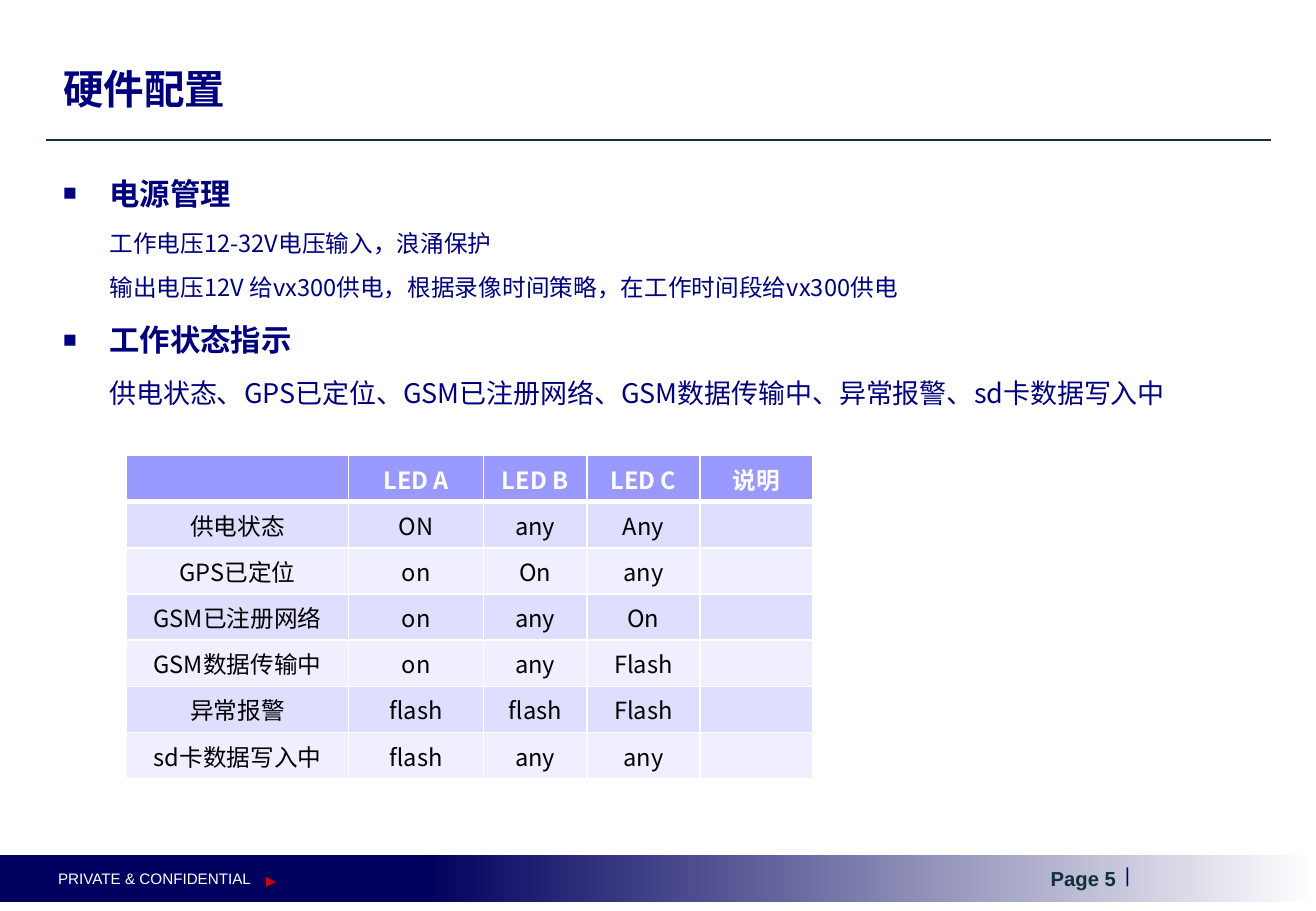
from lxml import etree
from pptx import Presentation
from pptx.dml.color import RGBColor
from pptx.enum.shapes import MSO_CONNECTOR, MSO_SHAPE
from pptx.enum.text import MSO_ANCHOR, MSO_AUTO_SIZE, PP_ALIGN
from pptx.oxml import parse_xml
from pptx.oxml.ns import qn
from pptx.util import Inches, Pt

LEFT, CENTER = PP_ALIGN.LEFT, PP_ALIGN.CENTER
MIDDLE, NO_FIT = MSO_ANCHOR.MIDDLE, MSO_AUTO_SIZE.NONE
STRAIGHT = MSO_CONNECTOR.STRAIGHT
RECTANGLE, PENTAGON = MSO_SHAPE.RECTANGLE, MSO_SHAPE.PENTAGON

COLORS = {
    "navy": "00007D", "band": "00005E", "rule": "113038", "marker": "CC0000",
    "white": "FFFFFF", "black": "000000",
    "header": "9999FF", "odd": "DEDEFF", "even": "EFEFFF",
}
SANS, CJK = "Arial", "Noto Sans CJK SC"
NAMESPACE = 'xmlns:a="http://schemas.openxmlformats.org/drawingml/2006/main"'

TITLE = "硬件配置"
BODY = [  # text, size, is a bulleted heading
    ("电源管理", 18, True),
    ("工作电压12-32V电压输入，浪涌保护", 14, False),
    ("输出电压12V 给vx300供电，根据录像时间策略，在工作时间段给vx300供电", 14, False),
    ("工作状态指示", 18, True),
    ("供电状态、GPS已定位、GSM已注册网络、GSM数据传输中、异常报警、sd卡数据写入中", 16, False),
]
LED_TABLE = [
    ("", "LED A", "LED B", "LED C", "说明"),
    ("供电状态", "ON", "any", "Any", ""),
    ("GPS已定位", "on", "On", "any", ""),
    ("GSM已注册网络", "on", "any", "On", ""),
    ("GSM数据传输中", "on", "any", "Flash", ""),
    ("异常报警", "flash", "flash", "Flash", ""),
    ("sd卡数据写入中", "flash", "any", "any", ""),
]
COLUMN_WIDTHS = (1.83, 1.11, 0.85, 0.93, 0.93)
ROW_HEIGHT = 0.38
CELL_SIZE = 14
FOOTER = [  # text, area, size, color, bold, alignment, wraps, percent before
    ("Page 5", (8.47, 7.08, 0.89, 0.3), 12, "rule", True, CENTER, False, 0),
    ("|", (9.16, 7.05, 0.24, 0.3), 12, "navy", False, LEFT, False, 30),
    ("PRIVATE & CONFIDENTIAL", (0.38, 7.11, 1.81, 0.26), 9, "white", False, LEFT, True, 50),
]


def rgb(name):
    return RGBColor.from_string(COLORS[name])


def inches(*lengths):
    return [Inches(length) for length in lengths]


def place(shape, area):
    shape.left, shape.top, shape.width, shape.height = inches(*area)


def write(para, text, size, color, bold=False, font=SANS, align=LEFT):
    para.alignment = align
    span = para.add_run()
    span.text = text
    formats = {"size": Pt(size), "bold": bold, "name": font}
    for name, value in formats.items():
        setattr(span.font, name, value)
    span.font.color.rgb = rgb(color)
    etree.SubElement(span.font._element, qn("a:ea"), typeface=CJK)


def space(para, before, after=0):
    """Set paragraph spacing as percentages of the text size."""
    properties = para._p.get_or_add_pPr()
    for tag, percent in (("spcBef", before), ("spcAft", after)):
        gap = etree.SubElement(properties, qn(f"a:{tag}"))
        etree.SubElement(gap, qn("a:spcPct"), val=str(percent * 1000))


def set_bullet(para, indent, shown):
    properties = para._p.get_or_add_pPr()
    properties.set("marL", str(Inches(indent)))
    properties.set("indent", str(-Inches(indent) if shown else 0))
    marks = ["<a:buNone {}/>"]
    if shown:
        marks = [
            f'<a:buClr {{}}><a:srgbClr val="{COLORS["navy"]}"/></a:buClr>',
            '<a:buSzPct {} val="75000"/>',
            f'<a:buFont {{}} typeface="{SANS}"/>',
            '<a:buChar {} char="■"/>',
        ]
    for mark in marks:
        properties.append(parse_xml(mark.format(NAMESPACE)))


def set_borders(cell, top, bottom):
    properties = cell._tc.get_or_add_tcPr()
    for side, width in (("L", 1), ("R", 1), ("T", top), ("B", bottom)):
        properties.append(parse_xml(
            f'<a:ln{side} {NAMESPACE} w="{Pt(width)}"><a:solidFill>'
            f'<a:srgbClr val="{COLORS["white"]}"/></a:solidFill></a:ln{side}>'))


def add_plain_shape(page, kind, area):
    shape = page.shapes.add_shape(kind, *inches(*area))
    shape.shadow.inherit = False
    shape.line.fill.background()
    return shape


def add_frame(page, width):
    band = add_plain_shape(page, RECTANGLE, (0, 7.04, width, 0.39))
    band.fill.gradient()
    band.fill.gradient_angle = 0
    for stop, (position, color) in zip(band.fill.gradient_stops, ((0.32, "band"), (1, "white"))):
        stop.position = position
        stop.color.rgb = rgb(color)

    rule = page.shapes.add_connector(STRAIGHT, *inches(0.38, 1.15, 10.46, 1.15))
    rule.line.color.rgb = rgb("rule")
    rule.line.width = Pt(1.25)
    etree.SubElement(rule._element.spPr, qn("a:effectLst"))

    for text, area, size, color, bold, align, wraps, before in FOOTER:
        box = page.shapes.add_textbox(*inches(*area))
        box.text_frame.word_wrap = wraps
        para = box.text_frame.paragraphs[0]
        space(para, before)
        write(para, text, size, color, bold, align=align)

    marker = add_plain_shape(page, PENTAGON, (2.19, 7.22, 0.08, 0.08))
    marker.adjustments[0] = 1
    marker.fill.solid()
    marker.fill.fore_color.rgb = rgb("marker")


def fill_placeholders(page):
    title, body = page.placeholders
    place(title, (0.42, 0.36, 10, 0.73))
    title.text_frame.vertical_anchor = MIDDLE
    write(title.text_frame.paragraphs[0], TITLE, 24, "navy", True)

    place(body, (0.42, 1.33, 10, 5.55))
    frame = body.text_frame
    for shape in (title, body):
        shape.text_frame.auto_size = NO_FIT
    for index, (text, size, heading) in enumerate(BODY):
        para = frame.add_paragraph() if index else frame.paragraphs[0]
        para.line_spacing = 1.2
        space(para, 30, 15)
        set_bullet(para, 0.38, heading)
        write(para, text, size, "navy", heading, CJK)


def add_led_table(page):
    area = (1.04, 3.75, sum(COLUMN_WIDTHS), ROW_HEIGHT * len(LED_TABLE))
    table = page.shapes.add_table(len(LED_TABLE), len(COLUMN_WIDTHS), *inches(*area)).table
    for column, width in zip(table.columns, COLUMN_WIDTHS):
        column.width = Inches(width)
    for row, texts in enumerate(LED_TABLE):
        header = row == 0
        fill = "header" if header else "odd" if row % 2 else "even"
        for column, text in enumerate(texts):
            cell = table.cell(row, column)
            set_borders(cell, 3 if row == 1 else 1, 3 if header else 1)
            cell.fill.solid()
            cell.fill.fore_color.rgb = rgb(fill)
            para = cell.text_frame.paragraphs[0]
            if text:
                write(para, text, CELL_SIZE, "white" if header else "black", header, CJK, CENTER)
            else:
                etree.SubElement(para._p, qn("a:endParaRPr"), sz=str(CELL_SIZE * 100))


def main():
    deck = Presentation()
    deck.slide_width, deck.slide_height = inches(10.83, 7.5)
    page = deck.slides.add_slide(deck.slide_layouts[1])
    add_frame(page, 10.83)
    fill_placeholders(page)
    add_led_table(page)
    deck.save("out.pptx")


if __name__ == "__main__":
    main()
